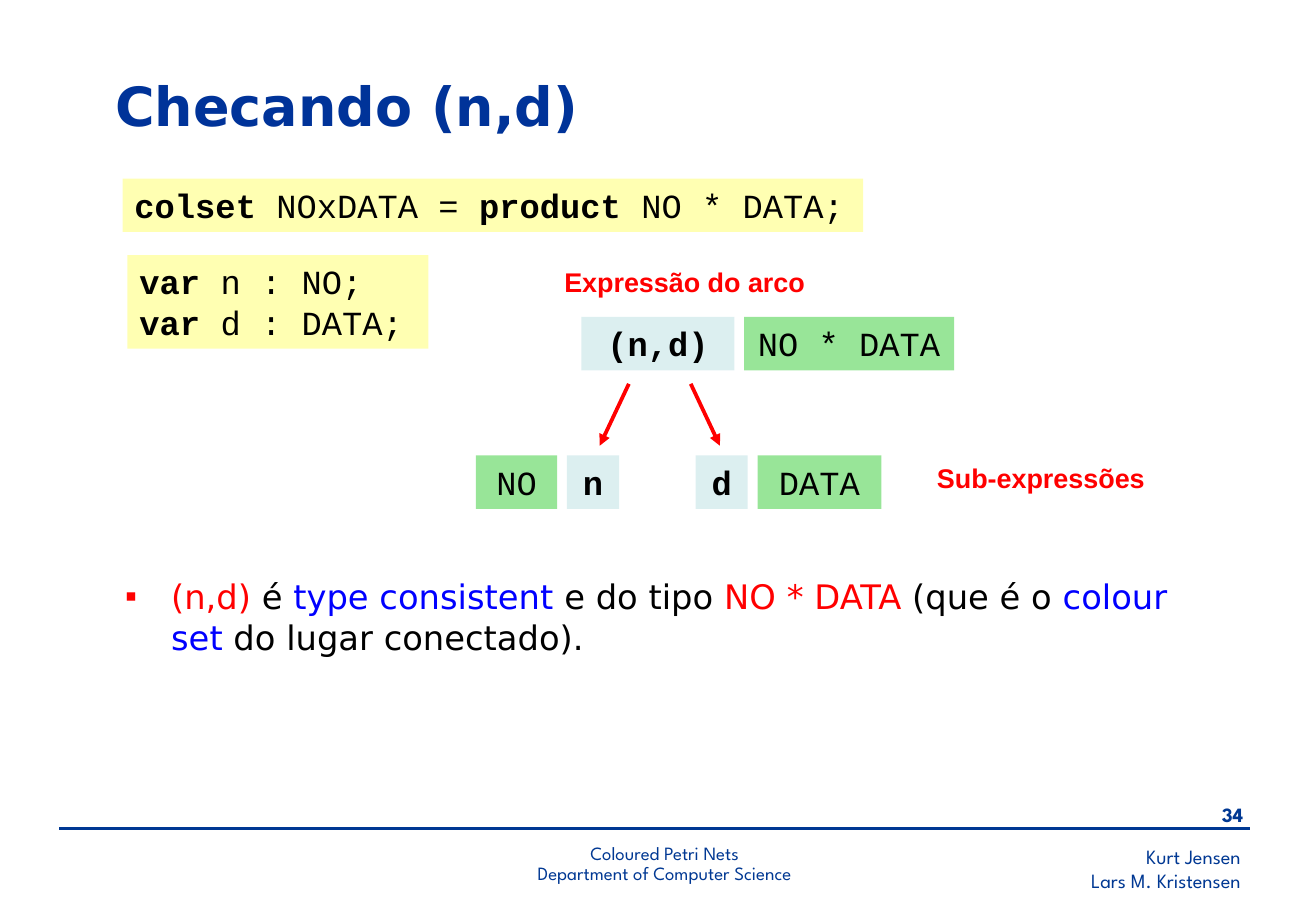
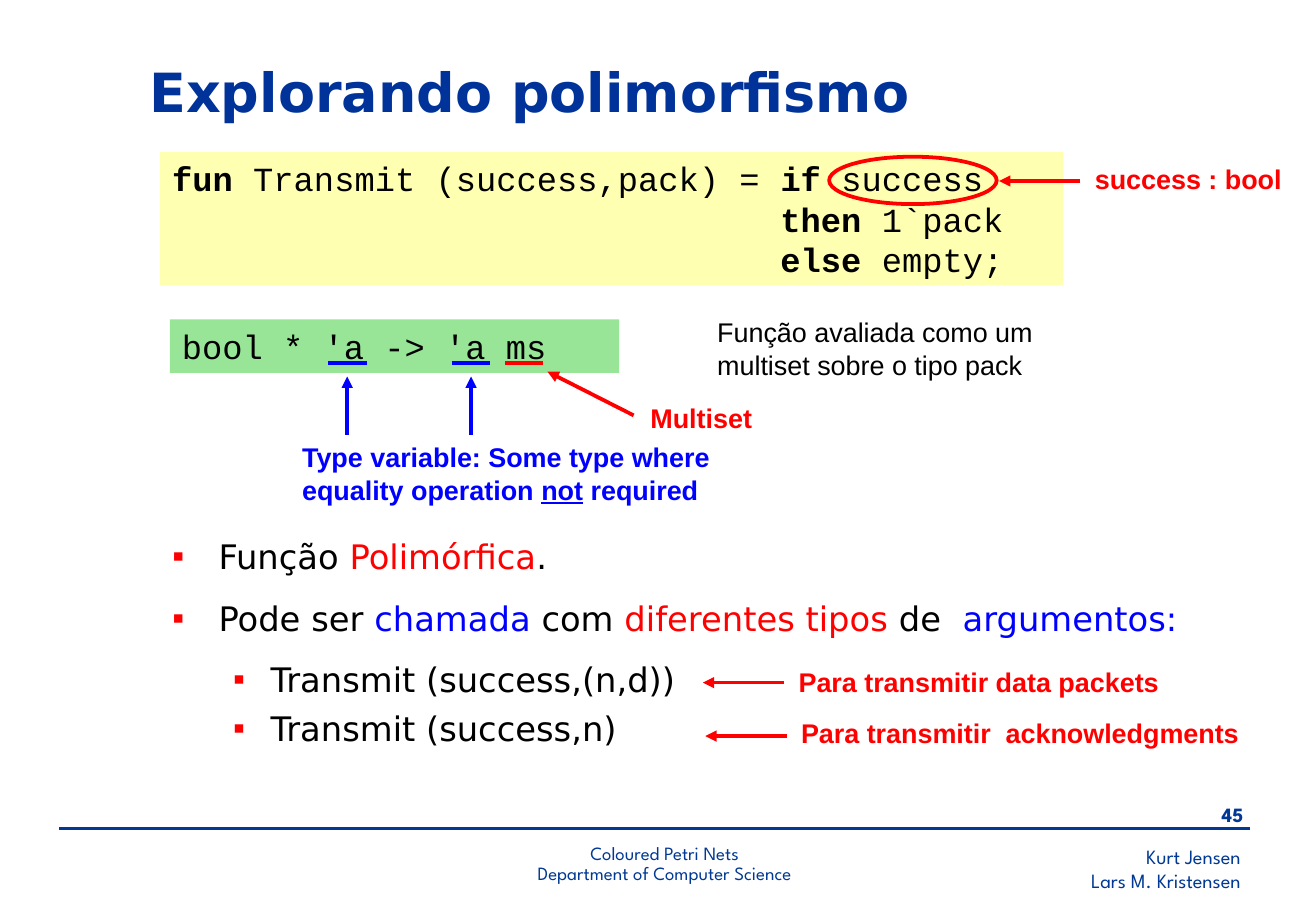
from dataclasses import dataclass
from typing import NamedTuple, Sequence

from lxml import etree
from pptx import Presentation
from pptx.dml.color import RGBColor
from pptx.enum.shapes import MSO_CONNECTOR, MSO_SHAPE
from pptx.enum.text import MSO_ANCHOR, MSO_AUTO_SIZE, PP_ALIGN
from pptx.oxml.ns import qn
from pptx.util import Emu, Pt

LEFT, CENTER, RIGHT = PP_ALIGN.LEFT, PP_ALIGN.CENTER, PP_ALIGN.RIGHT
TOP, MIDDLE = MSO_ANCHOR.TOP, MSO_ANCHOR.MIDDLE
NO_AUTOFIT = MSO_AUTO_SIZE.NONE
RECTANGLE, OVAL = MSO_SHAPE.RECTANGLE, MSO_SHAPE.OVAL
STRAIGHT = MSO_CONNECTOR.STRAIGHT

EMU_PER_PX = 9144  # 100 px to the inch
TITLE_AND_BODY = 1


class Style(NamedTuple):
    font: str
    size: float
    color: str
    bold: bool = False


@dataclass(frozen=True)
class Theme:
    red: str = "FF0000"
    blue: str = "0000FF"
    black: str = "000000"
    declaration: str = "FFFF66"
    expression: str = "BBE0E3"
    type: str = "33CC33"
    rule: str = "003893"
    fill_opacity: int = 50
    rule_width: float = 1.5
    arrow_width: float = 2.25
    footer_spacing: float = 0.9
    title: Style = Style("DejaVu Sans", 32, "003399", True)
    body: Style = Style("DejaVu Sans", 20, "000000")
    code: Style = Style("Courier New", 20, "000000")
    remark: Style = Style("Arial", 16, "000000")
    red_label: Style = Style("Arial", 16, "FF0000", True)
    blue_label: Style = Style("Arial", 16, "0000FF", True)
    authors: Style = Style("League Spartan", 12, "003893")
    number: Style = Style("League Spartan", 12, "003893", True)
    course: Style = Style("League Spartan", 11.1, "003893")


THEME = Theme()


class Area(NamedTuple):
    left: int
    top: int
    width: int
    height: int


class Span(NamedTuple):
    text: str
    color: str = ""
    bold: bool = False
    underline: bool = False


Line = Sequence[Span]


class Bullet(NamedTuple):
    spans: Line
    level: int = 0
    before: float = 12.5


class CodeBox(NamedTuple):
    area: Area
    fill: str
    lines: Sequence[Line]
    align: PP_ALIGN = LEFT


class Label(NamedTuple):
    area: Area
    spans: Line
    style: Style = THEME.red_label


class Stroke(NamedTuple):
    start: tuple[int, int]
    end: tuple[int, int]
    color: str = THEME.red
    arrow: bool = True


class BulletIndent(NamedTuple):
    margin: int
    hanging: int


INDENTS = (BulletIndent(38, 38), BulletIndent(81, 31))


def px(length: int) -> Emu:
    return Emu(length * EMU_PER_PX)


def place(shape, area: Area) -> None:
    shape.left, shape.top, shape.width, shape.height = map(px, area)


def red(text: str) -> Span:
    return Span(text, THEME.red)


def blue(text: str) -> Span:
    return Span(text, THEME.blue)


def bold(text: str) -> Span:
    return Span(text, bold=True)


def fill_paragraph(para, spans: Line, style: Style, align: PP_ALIGN = LEFT) -> None:
    para.alignment = align
    for span in spans:
        run = para.add_run()
        run.text = span.text
        font = run.font
        font.name, font.size = style.font, Pt(style.size)
        font.bold = style.bold or span.bold
        font.color.rgb = RGBColor.from_string(span.color or style.color)
        if span.underline:
            font.underline = True


def write_lines(frame, lines: Sequence[Line], style: Style,
                align: PP_ALIGN = LEFT, spacing: float = 1.0) -> None:
    frame.word_wrap = True
    frame.auto_size = NO_AUTOFIT
    for index, spans in enumerate(lines):
        para = frame.add_paragraph() if index else frame.paragraphs[0]
        para.line_spacing = spacing
        fill_paragraph(para, spans, style, align)


def add_text(slide, area: Area, lines: Sequence[Line], style: Style,
             align: PP_ALIGN = LEFT, spacing: float = 1.0) -> None:
    box = slide.shapes.add_textbox(*map(px, area))
    write_lines(box.text_frame, lines, style, align, spacing)


def add_code_box(slide, code: CodeBox) -> None:
    box = slide.shapes.add_shape(RECTANGLE, *map(px, code.area))
    box.shadow.inherit = False
    box.line.fill.background()
    box.fill.solid()
    box.fill.fore_color.rgb = RGBColor.from_string(code.fill)
    color = box.fill._xPr.find(qn("a:solidFill"))[0]
    etree.SubElement(color, qn("a:alpha"), val=str(THEME.fill_opacity * 1000))
    box.text_frame.vertical_anchor = TOP
    write_lines(box.text_frame, code.lines, THEME.code, code.align)


def add_stroke(slide, stroke: Stroke, width: float = THEME.arrow_width) -> None:
    line = slide.shapes.add_connector(STRAIGHT, *map(px, stroke.start + stroke.end))
    line.line.color.rgb = RGBColor.from_string(stroke.color)
    line.line.width = Pt(width)
    if stroke.arrow:
        etree.SubElement(line.line._get_or_add_ln(), qn("a:tailEnd"), type="triangle")
    etree.SubElement(line._element.spPr, qn("a:effectLst"))


def add_ring(slide, area: Area) -> None:
    ring = slide.shapes.add_shape(OVAL, *map(px, area))
    ring.shadow.inherit = False
    ring.fill.background()
    ring.line.color.rgb = RGBColor.from_string(THEME.red)
    ring.line.width = Pt(THEME.arrow_width)


def fill_body(slide, area: Area, bullets: Sequence[Bullet]) -> None:
    body = slide.placeholders[1]
    place(body, area)
    frame = body.text_frame
    frame.auto_size = NO_AUTOFIT
    for index, bullet in enumerate(bullets):
        para = frame.add_paragraph() if index else frame.paragraphs[0]
        para.level = bullet.level
        para.space_before = Pt(bullet.before if index else 0)
        indent = INDENTS[bullet.level]
        properties = para._p.get_or_add_pPr()
        properties.set("marL", str(px(indent.margin)))
        properties.set("indent", str(-px(indent.hanging)))
        color = etree.SubElement(properties, qn("a:buClr"))
        etree.SubElement(color, qn("a:srgbClr"), val=THEME.red)
        etree.SubElement(properties, qn("a:buChar"), char="▪")
        fill_paragraph(para, bullet.spans, THEME.body)


def add_page(deck, title: str, title_area: Area, number: int):
    """Add a slide with its title and the shared footer."""
    slide = deck.slides.add_slide(deck.slide_layouts[TITLE_AND_BODY])
    heading = slide.shapes.title
    place(heading, title_area)
    heading.text_frame.vertical_anchor = MIDDLE
    write_lines(heading.text_frame, [[Span(title)]], THEME.title)
    add_text(slide, Area(695, 690, 337, 50),
             [[Span("Kurt Jensen")], [Span("Lars M. Kristensen")]], THEME.authors, RIGHT)
    add_text(slide, Area(963, 656, 71, 33), [[Span(str(number))]], THEME.number, RIGHT)
    add_text(slide, Area(341, 690, 413, 47),
             [[Span("Coloured Petri Nets")], [Span("Department of Computer Science")]],
             THEME.course, CENTER, THEME.footer_spacing)
    add_stroke(slide, Stroke((49, 682), (1030, 682), THEME.rule, False), THEME.rule_width)
    return slide


def add_diagram(slide, boxes: Sequence[CodeBox], labels: Sequence[Label],
                strokes: Sequence[Stroke]) -> None:
    for box in boxes:
        add_code_box(slide, box)
    for label in labels:
        add_text(slide, label.area, [label.spans], label.style)
    for stroke in strokes:
        add_stroke(slide, stroke)


def build_checking_page(deck) -> None:
    slide = add_page(deck, "Checando (n,d)", Area(85, 52, 665, 69), 34)
    fill_body(slide, Area(93, 469, 929, 106), [Bullet([
        red("(n,d)"), Span(" é "), blue("type consistent"), Span(" e do tipo "),
        red("NO * DATA "), Span("(que é o "), blue("colour set"),
        Span(" do lugar conectado).")])])
    parent_top, child_top, height = 261, 375, 44
    boxes = [
        CodeBox(Area(101, 147, 610, height), THEME.declaration, [
            [bold("colset "), Span("NOxDATA = "), bold("product"), Span(" NO * DATA;")]]),
        CodeBox(Area(105, 210, 248, 77), THEME.declaration, [
            [bold("var"), Span(" n : NO;")], [bold("var"), Span(" d : DATA;")]]),
    ]
    nodes = [
        (479, parent_top, 126, THEME.expression, bold("(n,d)")),
        (613, parent_top, 173, THEME.type, Span("NO * DATA")),
        (392, child_top, 67, THEME.type, Span("NO")),
        (467, child_top, 43, THEME.expression, bold("n")),
        (573, child_top, 43, THEME.expression, bold("d")),
        (624, child_top, 102, THEME.type, Span("DATA")),
    ]
    boxes += [CodeBox(Area(left, top, width, height), fill, [[span]], CENTER)
              for left, top, width, fill, span in nodes]
    labels = [Label(Area(455, 214, 224, 37), [Span("Expressão do arco")]),
              Label(Area(762, 375, 224, 37), [Span("Sub-expressões")])]
    branches = [Stroke((start, 316), (end, 367)) for start, end in ((518, 494), (569, 593))]
    add_diagram(slide, boxes, labels, branches)


def build_polymorphism_page(deck) -> None:
    slide = add_page(deck, "Explorando polimorfismo", Area(113, 40, 843, 69), 45)
    fill_body(slide, Area(132, 436, 852, 189), [
        Bullet([Span("Função "), red("Polimórfica"), Span(".")]),
        Bullet([Span("Pode ser "), blue("chamada"), Span(" com "), red("diferentes tipos"),
                Span(" de  "), blue("argumentos:")]),
        Bullet([Span("Transmit (success,(n,d))")], level=1),
        Bullet([Span("Transmit (success,n)")], level=1, before=5),
    ])
    code_indent = Span(" " * len("fun Transmit (success,pack) = "))
    boxes = [
        CodeBox(Area(132, 125, 744, 110), THEME.declaration, [
            [bold("fun"), Span(" Transmit (success,pack) = "), bold("if"), Span(" success")],
            [code_indent, bold("then"), Span(" 1`pack")],
            [code_indent, bold("else"), Span(" empty;")]]),
        CodeBox(Area(140, 263, 370, 44), THEME.type, [[Span("bool * 'a -> 'a ms")]]),
    ]
    labels = [
        Label(Area(892, 129, 185, 37), [Span("success : bool")]),
        Label(Area(581, 255, 347, 64),
              [Span("Função avaliada como um multiset sobre o tipo pack")], THEME.remark),
        Label(Area(526, 326, 114, 37), [Span("Multiset")]),
        Label(Area(239, 358, 402, 64),
              [Span("Type variable: Some type where equality operation "),
               Span("not", underline=True), Span(" required")], THEME.blue_label),
        Label(Area(648, 543, 378, 37), [Span("Para transmitir data packets")]),
        Label(Area(650, 585, 392, 37), [Span("Para transmitir  acknowledgments")]),
    ]
    strokes = [Stroke((right, y), (right - 67, y))
               for right, y in ((890, 149), (646, 562), (648, 606))]
    strokes += [Stroke((522, 342), (451, 306)),
                Stroke((416, 299), (447, 299), arrow=False)]
    for center in (286, 388):
        strokes += [Stroke((center, 358), (center, 310), THEME.blue),
                    Stroke((center - 16, 299), (center + 16, 299), THEME.blue, False)]
    add_diagram(slide, boxes, labels, strokes)
    add_ring(slide, Area(683, 129, 138, 39))


def main() -> None:
    deck = Presentation()
    deck.slide_width, deck.slide_height = px(1084), px(750)
    build_checking_page(deck)
    build_polymorphism_page(deck)
    deck.save("out.pptx")


if __name__ == "__main__":
    main()
